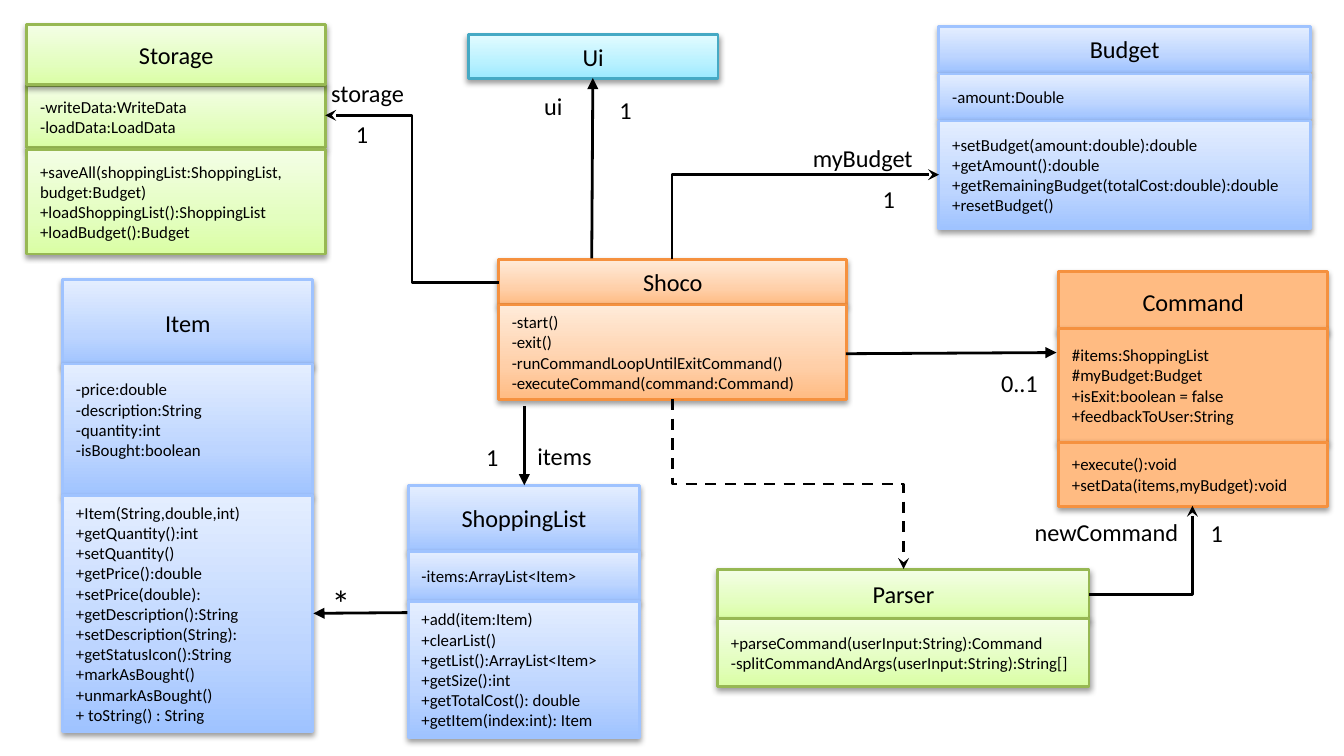
from lxml import etree
from pptx import Presentation
from pptx.dml.color import RGBColor
from pptx.enum.dml import MSO_LINE
from pptx.enum.shapes import MSO_CONNECTOR, MSO_SHAPE
from pptx.enum.text import MSO_ANCHOR, PP_ALIGN
from pptx.oxml import parse_xml
from pptx.oxml.ns import nsdecls, qn
from pptx.util import Pt

FONT, BLACK = "Calibri", "000000"
NAME_SIZE, MEMBER_SIZE = 13, 9

THEMES = {
    "blue": ("9FC3FF", ["9FC3FF", "BDD5FF", "E4EEFF"]),
    "green": ("97B853", ["DAFEA4", "E3FEBF", "F4FEE6"]),
    "orange": ("F5913F", ["FFBB82", "FFCFA8", "FFEBD9"]),
    "cyan": ("45A9C4", ["9BE9FF", "B8F1FF", "E2FBFF"]),
    "flat orange": ("F5913F", ["FFBB82"]),
}

CLASSES = [
    ("Shoco", "orange", 267.1, 186.5, [
        (139.2, 24, []),
        (163.4, 50.6, ["-start()", "-exit()", "-runCommandLoopUntilExitCommand()",
                       "-executeCommand(command:Command)"])]),
    ("Parser", "green", 384.5, 199, [
        (305.1, 26.4, []),
        (331.4, 36.4, ["+parseCommand(userInput:String):Command",
                       "-splitCommandAndArgs(userInput:String):String[]"])]),
    ("Ui", "cyan", 250.8, 133.9, [(18.5, 23.5, [])]),
    ("ShoppingList", "blue", 218.7, 124, [
        (260, 35.3, []),
        (295.4, 26.6, ["-items:ArrayList<Item>"]),
        (322.4, 72.8, ["+add(item:Item)", "+clearList()", "+getList():ArrayList<Item>",
                       "+getSize():int", "+getTotalCost(): double",
                       "+getItem(index:int): Item"])]),
    ("Item", "blue", 33.6, 134, [
        (149.8, 46.6, []),
        (195, 70.6, ["-price:double", "-description:String", "-quantity:int",
                     "-isBought:boolean"]),
        (265.6, 126.2, ["+Item(String,double,int)", "+getQuantity():int", "+setQuantity()",
                        "+getPrice():double", "+setPrice(double):",
                        "+getDescription():String", "+setDescription(String):",
                        "+getStatusIcon():String", "+markAsBought()", "+unmarkAsBought()",
                        "+ toString() : String"])]),
    ("Command", "flat orange", 567.2, 144, [
        (145.5, 32.4, []),
        (176, 60.8, ["#items:ShoppingList", "#myBudget:Budget", "+isExit:boolean = false",
                     "+feedbackToUser:String"]),
        (236.9, 34.4, ["+execute():void", "+setData(items,myBudget):void"])]),
    ("Budget", "blue", 503, 199, [
        (14.4, 24, []),
        (39.6, 24, ["-amount:Double"]),
        (64.8, 57.8, ["+setBudget(amount:double):double", "+getAmount():double",
                      "+getRemainingBudget(totalCost:double):double",
                      "+resetBudget()"])]),
    ("Storage", "green", 14.4, 159.9, [
        (45.6, 33.6, ["-writeData:WriteData", "-loadData:LoadData"]),
        (13, 32.4, []),
        (79.9, 56.2, ["+saveAll(shoppingList:ShoppingList, budget:Budget)",
                      "+loadShoppingList():ShoppingList", "+loadBudget():Budget"])]),
]
BOTTOM_INSETS = {("Item", 1): 14.6}

STRAIGHT = [
    (453.1, 189.5, 566, 188.9),
    (317, 138.4, 317.6, 41.8),
    (218.3, 328.2, 167.9, 328.6),
    (280.9, 217.4, 280.9, 260),
]
ELBOWS = [
    ("bentConnector3", 174.2, 61.8, 92.9, 89.4, 180, "", False),
    ("bentConnector2", 408.8, 44.8, 45.4, 143, 90, "HV", False),
    ("bentConnector3", 376.6, 197.4, 91, 123.9, 270, "H", True),
    ("bentConnector2", 583.6, 271, 55.2, 47.4, 0, "V", False),
]

LABELS = [
    ("storage", 154.8, 38.2, 84.2, 13, PP_ALIGN.CENTER),
    ("1", 183.6, 60.5, 27.4, 13, PP_ALIGN.LEFT),
    ("ui", 284.4, 45.4, 33.1, 13, PP_ALIGN.LEFT),
    ("1", 324.7, 47.5, 25.2, 13, PP_ALIGN.LEFT),
    ("myBudget", 428.4, 73.4, 97.2, 13, PP_ALIGN.LEFT),
    ("1", 465.8, 95, 21.6, 13, PP_ALIGN.LEFT),
    ("0..1", 529.2, 193.7, 38.2, 13, PP_ALIGN.LEFT),
    ("1", 253.4, 233.3, 27.4, 13, PP_ALIGN.LEFT),
    ("items", 280.8, 232.6, 62.6, 13, PP_ALIGN.LEFT),
    ("*", 170.6, 307.4, 27.4, 20, PP_ALIGN.LEFT),
    ("newCommand", 547.2, 273.6, 92.9, 13, PP_ALIGN.LEFT),
    ("1", 641.5, 274.3, 18.7, 13, PP_ALIGN.LEFT),
]

prs = Presentation()
prs.slide_width, prs.slide_height = Pt(720), Pt(405)
slide = prs.slides.add_slide(prs.slide_layouts[6])
shapes = slide.shapes


def color(value):
    return RGBColor.from_string(value)


def write(frame, lines, size, align):
    frame.word_wrap = True
    for i, line in enumerate(lines):
        paragraph = frame.paragraphs[0] if i == 0 else frame.add_paragraph()
        paragraph.alignment = align
        run = paragraph.add_run()
        run.text = line
        run.font.name, run.font.size = FONT, Pt(size)
        run.font.color.rgb = color(BLACK)


def paint(shape, line, stops):
    shape.fill.solid()
    shape.fill.fore_color.rgb = color(stops[0])
    shape.line.color.rgb = color(line)
    shape.line.width = Pt(1.5)
    props = shape._element.spPr
    if len(stops) > 1:
        entries = "".join(
            f'<a:gs pos="{pos}"><a:srgbClr val="{stop}"/></a:gs>'
            for pos, stop in zip((0, 35000, 100000), stops))
        gradient = parse_xml(
            f'<a:gradFill {nsdecls("a")} rotWithShape="1"><a:gsLst>{entries}</a:gsLst>'
            '<a:lin ang="16200000" scaled="0"/></a:gradFill>')
        props.replace(props.find(qn("a:solidFill")), gradient)
    shape.shadow.inherit = False
    props.find(qn("a:effectLst")).append(parse_xml(
        f'<a:outerShdw {nsdecls("a")} blurRad="{Pt(3.1)}" dist="{Pt(1.6)}" dir="5400000" '
        f'rotWithShape="0"><a:srgbClr val="{BLACK}"><a:alpha val="38000"/></a:srgbClr>'
        '</a:outerShdw>'))


def arrow(kind, ends, head, dashed=False):
    connector = shapes.add_connector(kind, *map(Pt, ends))
    connector.line.color.rgb = color(BLACK)
    connector.line.width = Pt(1.5)
    if dashed:
        connector.line.dash_style = MSO_LINE.DASH
    props = connector._element.spPr
    etree.SubElement(props.find(qn("a:ln")), qn("a:tailEnd"), type=head)
    etree.SubElement(props, qn("a:effectLst"))
    return props


for name, theme, left, width, compartments in CLASSES:
    for index, (top, height, members) in enumerate(compartments):
        box = shapes.add_shape(MSO_SHAPE.RECTANGLE, Pt(left), Pt(top), Pt(width), Pt(height))
        box.name = f"{name} {'members' if members else 'name'} {index}"
        paint(box, *THEMES[theme])
        frame = box.text_frame
        frame.vertical_anchor = MSO_ANCHOR.MIDDLE
        frame.margin_bottom = Pt(BOTTOM_INSETS.get((name, index), 3.6))
        if members:
            write(frame, members, MEMBER_SIZE, PP_ALIGN.LEFT)
        else:
            write(frame, [name], NAME_SIZE, PP_ALIGN.CENTER)

for ends in STRAIGHT:
    arrow(MSO_CONNECTOR.STRAIGHT, ends, "triangle")

for preset, left, top, width, height, turn, flips, dashed in ELBOWS:
    props = arrow(MSO_CONNECTOR.ELBOW, (left, top, left + width, top + height),
                  "stealth", dashed)
    props.find(qn("a:prstGeom")).set("prst", preset)
    frame = props.find(qn("a:xfrm"))
    frame.set("rot", str(turn * 60000))
    for flip in flips:
        frame.set(f"flip{flip}", "1")

for text, left, top, width, size, align in LABELS:
    label = shapes.add_textbox(Pt(left), Pt(top), Pt(width), Pt(24))
    write(label.text_frame, [text], size, align)

prs.save("out.pptx")
